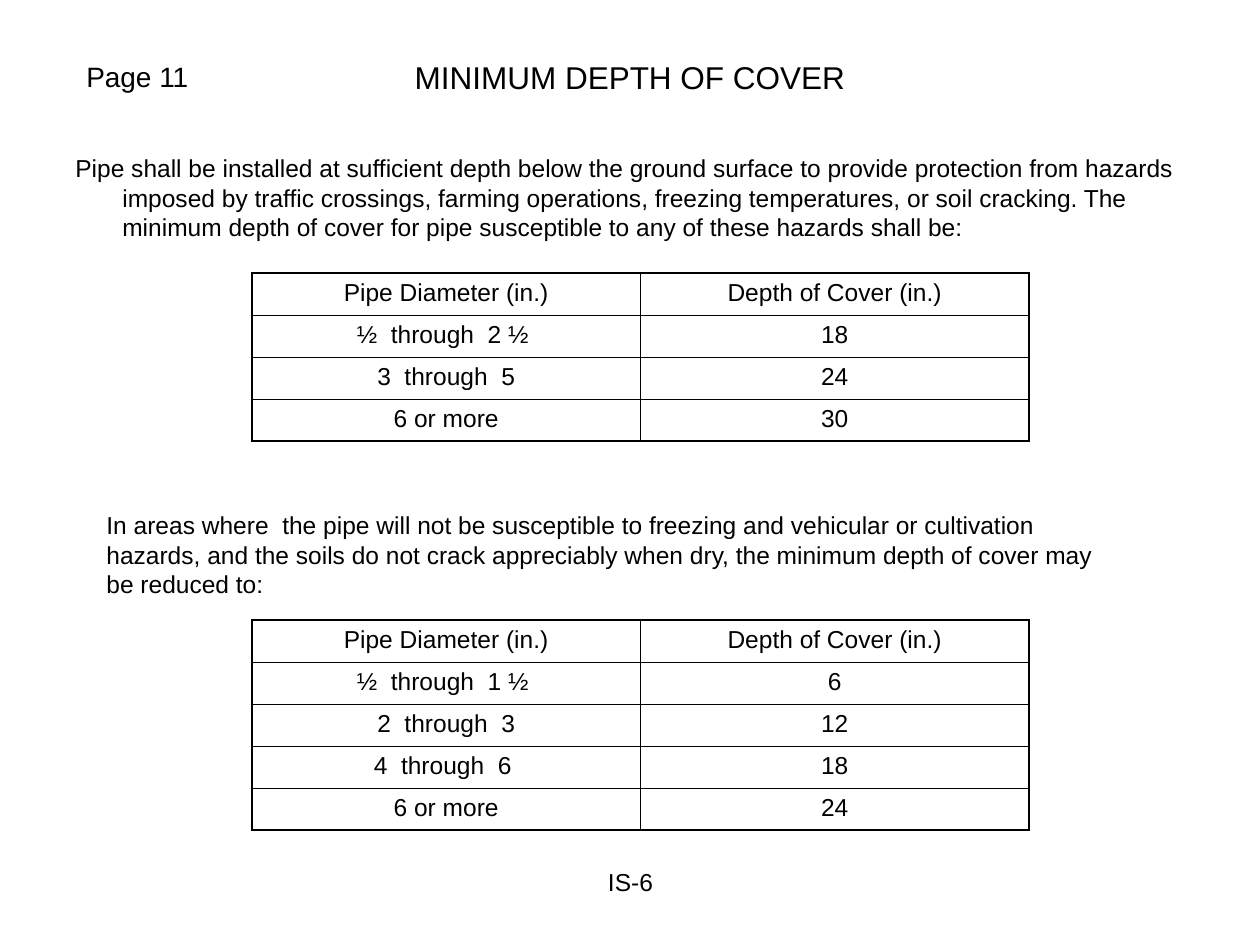
from lxml import etree
from pptx import Presentation
from pptx.dml.color import RGBColor
from pptx.enum.text import MSO_ANCHOR as Anchor, MSO_AUTO_SIZE as AutoSize, PP_ALIGN as Align
from pptx.oxml.ns import qn
from pptx.util import Pt

EMU_PER_PX = 914400 // 126
COLORS = {"text": "000000", "border": "000000", "background": "FFFFFF"}
FONT = "Arial"
BODY_SIZE = 14
ROW_HEIGHT = 42
OUTER_LINE, INNER_LINE = 1.08, 0.45
HEADER = ("Pipe Diameter (in.)", "Depth of Cover (in.)")


def px(length):
    return length * EMU_PER_PX


class SlideBuilder:
    def __init__(self, presentation):
        self.slide = presentation.slides.add_slide(presentation.slide_layouts[6])
        fill = self.slide.background.fill
        fill.solid()
        fill.fore_color.rgb = RGBColor.from_string(COLORS["background"])

    def add_text_run(self, paragraph, text, size=BODY_SIZE, align=Align.LEFT):
        paragraph.alignment = align
        run = paragraph.add_run()
        run.text = text
        run.font.name = FONT
        run.font.size = Pt(size)
        run.font.color.rgb = RGBColor.from_string(COLORS["text"])

    def text(self, left, top, width, height, text, size=BODY_SIZE, align=Align.LEFT,
             anchor=Anchor.TOP, wrap=True, grow=False, hanging=0):
        shape = self.slide.shapes.add_textbox(px(left), px(top), px(width), px(height))
        frame = shape.text_frame
        frame.word_wrap = wrap
        frame.vertical_anchor = anchor
        frame.auto_size = AutoSize.SHAPE_TO_FIT_TEXT if grow else AutoSize.NONE
        paragraph = frame.paragraphs[0]
        if hanging:
            properties = paragraph._p.get_or_add_pPr()
            properties.set("marL", str(px(hanging)))
            properties.set("indent", str(-px(hanging)))
        self.add_text_run(paragraph, text, size, align)

    def border(self, cell, index, side, width):
        line = etree.Element(qn(f"a:ln{side}"), w=str(Pt(width)))
        fill = etree.SubElement(line, qn("a:solidFill"))
        etree.SubElement(fill, qn("a:srgbClr"), val=COLORS["border"])
        cell._tc.get_or_add_tcPr().insert(index, line)

    def table(self, left, top, width, rows):
        row_count, column_count = len(rows), len(rows[0])
        table = self.slide.shapes.add_table(
            row_count, column_count, px(left), px(top), px(width), px(ROW_HEIGHT * row_count)).table
        table.first_row = table.horz_banding = False
        for r, values in enumerate(rows):
            for c, value in enumerate(values):
                cell = table.cell(r, c)
                cell.fill.background()
                self.add_text_run(cell.text_frame.paragraphs[0], value, align=Align.CENTER)
                # Heavier lines run around the outside of the table
                outer = {"L": c == 0, "R": c == column_count - 1,
                         "T": r == 0, "B": r == row_count - 1}
                for index, (side, is_outer) in enumerate(outer.items()):
                    self.border(cell, index, side, OUTER_LINE if is_outer else INNER_LINE)


def main():
    presentation = Presentation()
    presentation.slide_width, presentation.slide_height = px(1260), px(945)
    builder = SlideBuilder(presentation)

    # Heading
    builder.text(63, 38, 1134, 78, "MINIMUM DEPTH OF COVER", size=18,
                 align=Align.CENTER, anchor=Anchor.MIDDLE)
    builder.text(74, 53, 129, 47, "Page 11", size=16, wrap=False, grow=True)

    # Standard depth of cover
    builder.text(63, 147, 1134, 105,
                 "Pipe shall be installed at sufficient depth below the ground surface to provide "
                 "protection from hazards imposed by traffic crossings, farming operations, freezing "
                 "temperatures, or soil cracking. The minimum depth of cover for pipe susceptible to "
                 "any of these hazards shall be:", hanging=47)
    builder.table(252, 273, 777, [
        HEADER,
        ("½  through  2 ½ ", "18"),
        ("3  through  5", "24"),
        ("6 or more", "30"),
    ])

    # Reduced depth of cover
    builder.text(94, 504, 1031, 101,
                 "In areas where  the pipe will not be susceptible to freezing and vehicular or "
                 "cultivation hazards, and the soils do not crack appreciably when dry, the minimum "
                 "depth of cover may be reduced to:", grow=True)
    builder.table(252, 620, 777, [
        HEADER,
        ("½  through  1 ½ ", "6"),
        ("2  through  3", "12"),
        ("4  through  6 ", "18"),
        ("6 or more", "24"),
    ])

    # Footer
    builder.text(431, 861, 399, 66, "IS-6", align=Align.CENTER)

    presentation.save("out.pptx")


if __name__ == "__main__":
    main()
